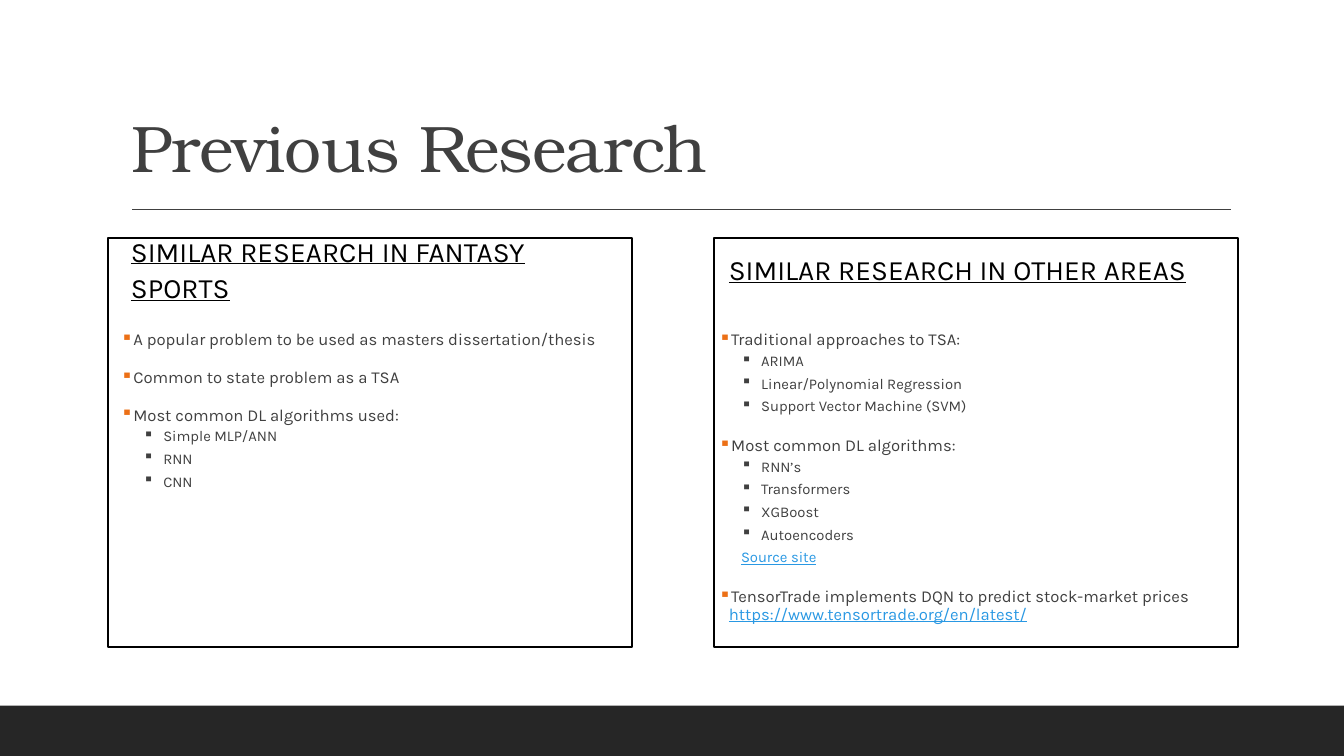
from lxml import etree
from pptx import Presentation
from pptx import util as u
from pptx.dml.color import RGBColor
from pptx.enum import shapes, text
from pptx.oxml.ns import qn

BLACK = RGBColor(0x00, 0x00, 0x00)
DARK = RGBColor(0x26, 0x26, 0x26)
GREY = RGBColor(0x40, 0x40, 0x40)
ORANGE = RGBColor(0xEC, 0x70, 0x16)
BLUE = RGBColor(0x29, 0x98, 0xE3)
SERIF, SANS = "TeX Gyre Bonum", "Karla"

# Kinds of line: level, left margin, indent, line spacing, before, after, size, bullet
POINT = (0, 0.1, -0.1, 0.9, 12, 2, 11.9, ORANGE)
ITEM = (1, 0.42, -0.2, 0.8, 2, 4, 10.6, GREY)
NOTE = (1, 0.22, 0, 0.8, 2, 4, 10.6, None)


class Page:
    def __init__(self, deck):
        self.slide = deck.slides.add_slide(deck.slide_layouts[5])
        self.items = self.slide.shapes

    def run(self, para, words, size, color, font=SANS, line=False):
        run = para.add_run()
        run.text = words
        face = run.font
        face.name, face.size, face.underline = font, u.Pt(size), line
        face.color.rgb = color
        return run

    def space(self, para, lines, before, after):
        para.alignment = text.PP_ALIGN.LEFT
        para.line_spacing = lines
        para.space_before, para.space_after = u.Pt(before), u.Pt(after)

    def title(self, words):
        head = self.items.title
        head.left, head.top = u.Inches(1.2), u.Inches(0.31)
        head.width, head.height = u.Inches(11), u.Inches(1.59)
        frame = head.text_frame
        frame.auto_size = text.MSO_AUTO_SIZE.NONE
        frame.vertical_anchor = text.MSO_ANCHOR.BOTTOM
        para = frame.paragraphs[0]
        self.space(para, 0.9, 0, 0)
        run = self.run(para, words, 47, GREY, SERIF)
        run.font._element.set("spc", "-50")

    def box(self, left, top, wide, high, fill=None, line=None):
        box = self.items.add_shape(
            shapes.MSO_SHAPE.RECTANGLE, *map(u.Inches, (left, top, wide, high)))
        box.shadow.inherit = False
        if fill is None:
            box.fill.background()
        else:
            box.fill.solid()
            box.fill.fore_color.rgb = fill
        if line is None:
            box.line.fill.background()
        else:
            box.line.color.rgb = line
            box.line.width = u.Pt(1.25)

    def rule(self, left, right, top):
        line = self.items.add_connector(
            shapes.MSO_CONNECTOR.STRAIGHT, *map(u.Inches, (left, top, right, top)))
        line.line.color.rgb = GREY
        line.line.width = u.Pt(1)
        etree.SubElement(line._element.spPr, qn("a:effectLst"))

    def frame(self, left, top, wide, high):
        frame = self.items.add_textbox(
            *map(u.Inches, (left, top, wide, high))).text_frame
        frame.word_wrap = True
        return frame

    def heading(self, left, words):
        frame = self.frame(left, 2.25, 5.07, 0.81)
        frame.vertical_anchor = text.MSO_ANCHOR.MIDDLE
        para = frame.paragraphs[0]
        self.space(para, 1.1, 12, 2)
        self.run(para, words, 20, BLACK, line=True)

    def bullets(self, left, lines):
        frame = self.frame(left, 3.24, 5.07, 3.18)
        frame.margin_left = frame.margin_right = 0
        for num, (kind, words, *link) in enumerate(lines):
            level, margin, indent, gap, before, after, size, mark = kind
            para = frame.add_paragraph() if num else frame.paragraphs[0]
            para.level = level
            self.space(para, gap, before, after)
            props = para._p.get_or_add_pPr()
            props.set("marL", str(u.Inches(margin)))
            props.set("indent", str(u.Inches(indent)))
            if mark is None:
                etree.SubElement(props, qn("a:buNone"))
            else:
                tint = etree.SubElement(props, qn("a:buClr"))
                etree.SubElement(tint, qn("a:srgbClr"), val=str(mark))
                etree.SubElement(props, qn("a:buChar"), char="▪")
            note = kind is NOTE
            self.run(para, words, size, BLUE if note else GREY, line=note)
            for site in link:
                para.add_line_break()
                self.run(para, site, size, BLUE, line=True)


PANELS = [
    (1.2, 1.07, "SIMILAR RESEARCH IN FANTASY SPORTS", [
        (POINT, "A popular problem to be used as masters dissertation/thesis"),
        (POINT, "Common to state problem as a TSA"),
        (POINT, "Most common DL algorithms used:"),
        (ITEM, "Simple MLP/ANN"),
        (ITEM, "RNN"),
        (ITEM, "CNN"),
    ]),
    (7.13, 7.08, "SIMILAR RESEARCH IN OTHER AREAS", [
        (POINT, "Traditional approaches to TSA:"),
        (ITEM, "ARIMA"),
        (ITEM, "Linear/Polynomial Regression"),
        (ITEM, "Support Vector Machine (SVM)"),
        (POINT, "Most common DL algorithms:"),
        (ITEM, "RNN’s"),
        (ITEM, "Transformers"),
        (ITEM, "XGBoost"),
        (ITEM, "Autoencoders"),
        (NOTE, "Source site"),
        (POINT, "TensorTrade implements DQN to predict stock-market prices",
         "https://www.tensortrade.org/en/latest/"),
    ]),
]


def main():
    deck = Presentation()
    deck.slide_width, deck.slide_height = u.Inches(13.33), u.Inches(7.5)
    page = Page(deck)

    # Footer band, title and rule
    page.box(0, 7, 13.33, 0.5, fill=DARK)
    page.title("Previous Research")
    page.rule(1.31, 12.21, 2.08)

    # Two framed columns
    for left, edge, head, lines in PANELS:
        page.heading(left, head)
        page.bullets(left, lines)
        page.box(edge, 2.36, 5.2, 4.06, line=BLACK)

    deck.save("out.pptx")


if __name__ == "__main__":
    main()
